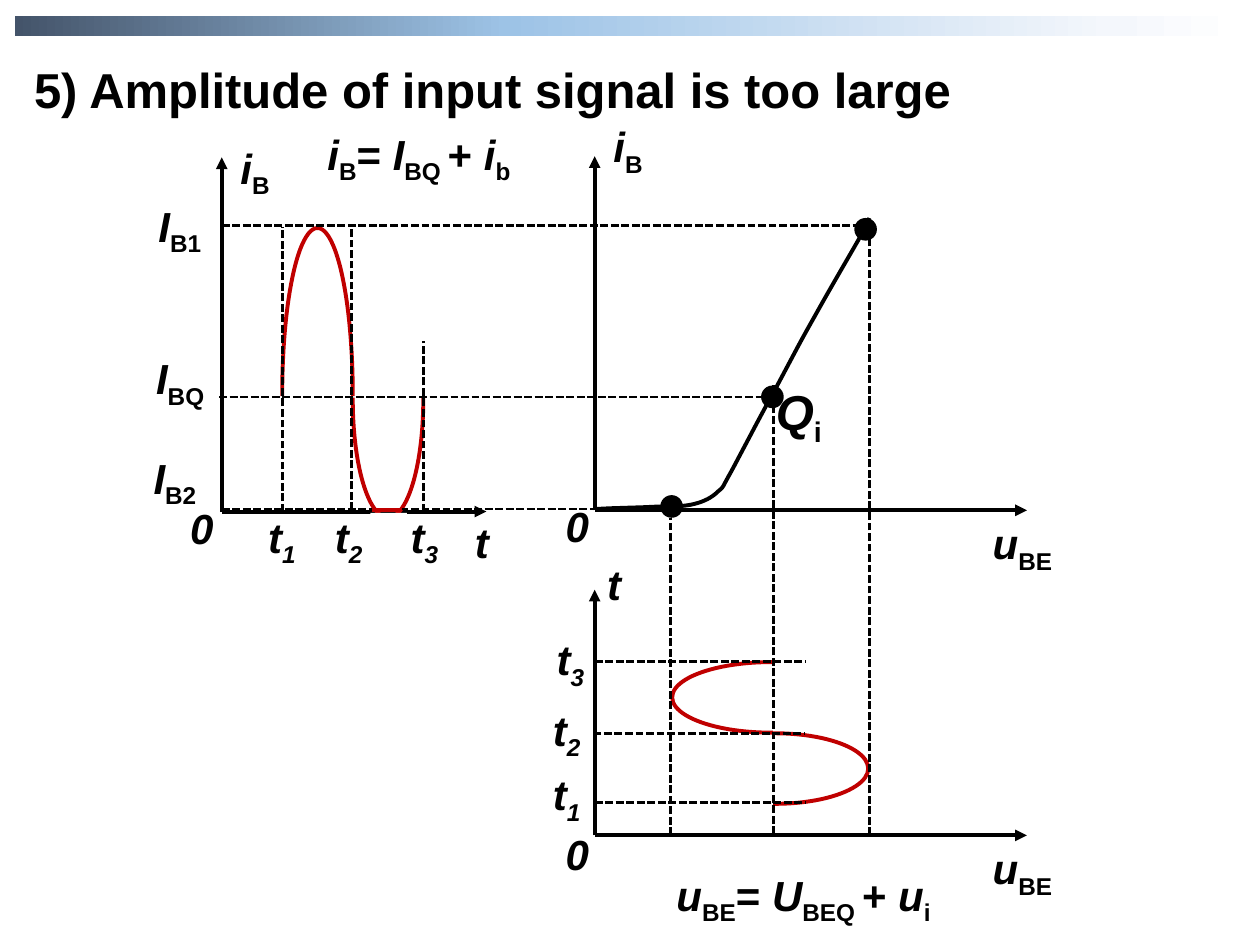
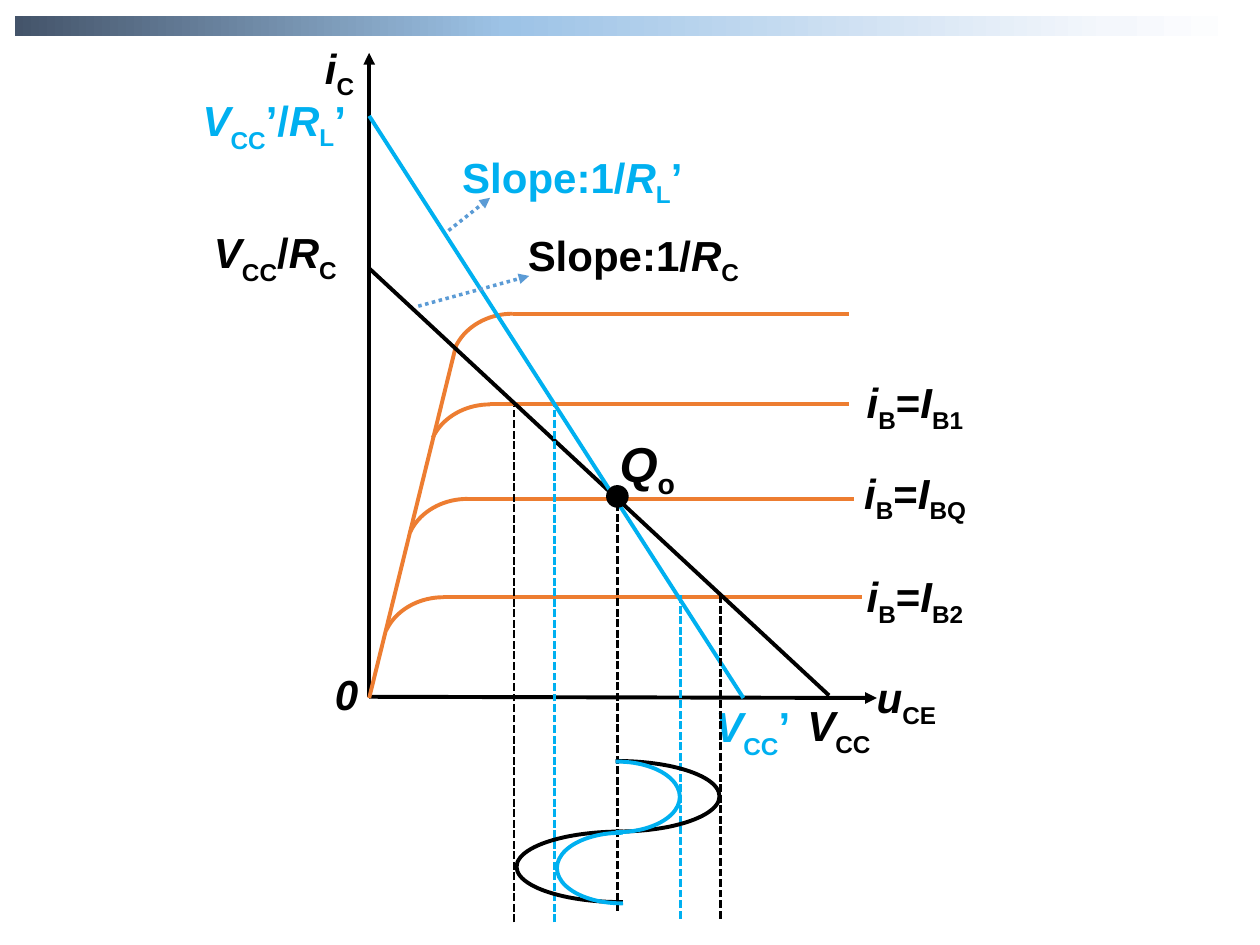
"""Build two slides of transistor amplifier graphs: input side and output side."""
from lxml import etree
from pptx import Presentation
from pptx.dml.color import RGBColor
from pptx.enum.dml import MSO_LINE
from pptx.enum.shapes import MSO_CONNECTOR, MSO_SHAPE
from pptx.enum.text import MSO_ANCHOR, MSO_AUTO_SIZE, PP_ALIGN
from pptx.oxml.ns import qn
from pptx.util import Inches, Pt

BLACK = RGBColor(0x00, 0x00, 0x00)
WHITE = RGBColor(0xFF, 0xFF, 0xFF)
RED = RGBColor(0xC0, 0x00, 0x00)
CYAN = RGBColor(0x00, 0xB0, 0xF0)
ORANGE = RGBColor(0xED, 0x7D, 0x31)
BLUE = RGBColor(0x5B, 0x9B, 0xD5)
DASH, DOTS = MSO_LINE.SQUARE_DOT, MSO_LINE.ROUND_DOT
LINE, ARC = MSO_CONNECTOR.STRAIGHT, MSO_SHAPE.ARC
OVAL, RECT = MSO_SHAPE.OVAL, MSO_SHAPE.RECTANGLE
FIT, TOP, LEFT = MSO_AUTO_SIZE.SHAPE_TO_FIT_TEXT, MSO_ANCHOR.TOP, PP_ALIGN.LEFT

FONT = "Arial"
BAND = (0.12, 0.13, 9.76, 0.16)
STOPS = [(0, "44546A"), (40, "9DC3E6"), (89, "F4F7FC"), (100, "FFFFFF")]
HALF, KNEE = (106.3, 1.73), (162, 204.75)
DOT = 0.18

ITAL, SUB, LOW, TINY, FLAT = (True, 0), (False, -25), (False, -30), (True, -25), (False, 0)


def sym(name, sub="", style=SUB):
    """Return the runs of a symbol with its subscript."""
    return [(name, ITAL)] + ([(sub, style)] if sub else [])


def flat(text):
    """Return one upright run."""
    return [(text, FLAT)]


TITLE = "5) Amplitude of input signal is too large"
IN_AXES = [
    (4.72, 4.05, 4.72, 1.24), (4.72, 4.05, 8.15, 4.05),
    (4.72, 6.63, 4.72, 4.68), (4.72, 6.63, 8.15, 6.63),
    (1.76, 4.06, 1.76, 1.25), (1.76, 4.06, 3.86, 4.06),
]
IN_ROWS = [
    (1.76, 6.85, 1.79), (1.74, 6.1, 3.15), (1.76, 6.41, 4.04),
    (4.72, 6.39, 6.37), (4.71, 6.38, 5.82), (4.72, 6.39, 5.25),
]
IN_COLS = [
    (6.14, 6.62, 3.05), (6.9, 6.63, 1.8), (5.32, 6.63, 4.11),
    (2.24, 4.06, 1.8), (2.79, 4.05, 1.8), (3.36, 4.06, 2.71),
]
IN_WAVES = [
    ((5.87, 5.36, 0.56, 1.48), 90, ""), ((5.84, 4.75, 0.56, 1.57), 270, "flipH"),
    ((2.24, 1.81, 0.56, 2.64), 0, ""), ((2.8, 2.23, 0.56, 1.88), 0, "flipV"),
]
CLIP = (2.95, 4.05, 3.19, 4.05)
MASK = (2.94, 4.07, 0.29, 0.47)
IN_DOTS = [(6.04, 3.06), (6.78, 1.73), (5.24, 3.93)]
START = (4.73, 4.04)
BENDS = [
    ((4.9, 4.03), (5.06, 4.03), (5.23, 4.02)),
    ((5.36, 4.02), (5.43, 4.02), (5.51, 4)),
    ((5.59, 3.98), (5.65, 3.95), (5.7, 3.9)),
    ((5.75, 3.86), (5.73, 3.87), (5.8, 3.75)),
    ((5.87, 3.62), (6.01, 3.35), (6.12, 3.15)),
    ((6.23, 2.95), (6.33, 2.75), (6.45, 2.54)),
    ((6.56, 2.34), (6.73, 2.05), (6.81, 1.91)),
    ((6.88, 1.78), (6.89, 1.76), (6.9, 1.73)),
]
IN_TEXT = [
    (5.27, 6.85, 2.61, sym("u", "BE") + flat("= ") + sym("U", "BEQ ")
     + flat("+ ") + sym("u", "i")),
    (2.5, 0.97, 2, sym("i", "B") + flat("=") + sym(" I", "BQ ")
     + flat("+ ") + sym("i", "b")),
    (4.77, 0.91, 0.55, sym("i", "B")),
    (1.81, 1.08, 0.55, sym("i", "B")),
    (7.78, 4.06, 0.83, sym("u", "BE")),
    (7.78, 6.64, 0.83, sym("u", "BE")),
    (4.72, 4.38, 0.55, sym("t")),
    (3.67, 4.05, 0.47, sym("t")),
    (4.39, 6.53, 0.55, sym("0")),
    (4.39, 3.92, 0.55, sym("0")),
    (1.41, 3.94, 0.55, sym("0")),
    (4.29, 6.05, 0.55, sym("t", "1", TINY)),
    (4.29, 5.54, 0.55, sym("t", "2", TINY)),
    (4.32, 4.98, 0.55, sym("t", "3", TINY)),
    (2.03, 4.01, 0.55, sym("t", "1", TINY)),
    (2.56, 4.01, 0.55, sym("t", "2", TINY)),
    (3.16, 4.01, 0.55, sym("t", "3", TINY)),
    (1.16, 1.54, 0.6, sym("I", "B1")),
    (1.14, 2.75, 0.75, sym("I", "BQ")),
    (1.12, 3.54, 1.29, sym("I", "B2")),
]
IN_POINT = (6.06, 2.98, 0.67, sym("Q", "i"))

OUT_AXES = [(2.93, 5.53, 2.93, 0.42), (2.93, 5.53, 6.96, 5.54)]
RISE = (2.93, 5.54, 3.62, 2.74)
CURVES = [(3.58, 2.49, 6.74), (3.4, 3.21, 6.74), (3.22, 3.96, 6.78), (3.03, 4.74, 6.84)]
LOADS = [((2.93, 2.13, 6.58, 5.52), BLACK), ((2.93, 0.92, 5.9, 5.54), CYAN)]
HINTS = [(3.56, 1.83, 3.89, 1.57), (3.32, 2.43, 4.2, 2.19)]
OUT_COLS = [
    (4.08, 7.32, 3.22, BLACK), (5.72, 7.29, 4.72, BLACK), (4.9, 7.23, 3.96, BLACK),
    (4.4, 7.32, 3.22, CYAN), (5.4, 7.29, 4.72, CYAN),
]
OUT_WAVES = [
    ((4.65, 6.05, 0.56, 1.66), 270, "flipH", BLACK), ((4.62, 5.51, 0.56, 1.62), 90, "", BLACK),
    ((4.65, 6.38, 0.56, 1.02), 270, "flipH", CYAN), ((4.62, 5.83, 0.56, 0.99), 90, "", CYAN),
]
OUT_TEXT = [
    (2.48, 0.29, 0.55, sym("i", "C"), BLACK),
    (6.86, 5.28, 0.83, sym("u", "CE"), BLACK),
    (2.56, 5.26, 0.55, sym("0"), BLACK),
    (6.31, 5.5, 0.84, sym("V", "CC", LOW), BLACK),
    (1.6, 1.75, 1.43, sym("V", "CC", LOW) + flat("/") + sym("R", "C"), BLACK),
    (5.58, 5.51, 0.94, sym("V", "CC", LOW) + flat("’"), CYAN),
    (1.51, 0.7, 1.43, sym("V", "CC", LOW) + flat("’/") + sym("R", "L") + flat("’"), CYAN),
    (3.57, 1.15, 2.05, flat("Slope:1/") + sym("R", "L") + flat("’"), CYAN),
    (4.09, 1.77, 2.05, flat("Slope:1/") + sym("R", "C"), BLACK),
] + [(x, y, 1.19, sym("i", "B") + flat("=") + sym("I", sub), BLACK)
     for x, y, sub in [(6.78, 2.94, "B1"), (6.76, 3.66, "BQ"), (6.78, 4.48, "B2")]]
OUT_POINT = (4.82, 3.39, 0.67, sym("Q", "o"))
OUT_DOT = (4.81, 3.85)


def place(box):
    """Turn inches into lengths."""
    return [Inches(v) for v in box]


def write(frame, runs, color=BLACK, size=24):
    """Fill a text frame run by run."""
    frame.word_wrap = True
    frame.auto_size = FIT
    for text, (ital, base) in runs:
        run = frame.paragraphs[0].add_run()
        run.text = text
        font = run.font
        font.name, font.size = FONT, Pt(size)
        font.bold, font.italic = True, ital
        font.color.rgb = color
        if base:
            font._element.set("baseline", str(base * 1000))


def label(slide, x, y, wide, runs, color=BLACK, size=24):
    """Add a text label."""
    tall = 0.67 if size > 24 else 0.59 if len(runs) > 1 else 0.5
    write(slide.shapes.add_textbox(*place((x, y, wide, tall))).text_frame, runs, color, size)


def line(slide, ends, color=BLACK, width=2.25, dash=None, arrow=False):
    """Add a straight line, with an arrowhead if asked."""
    link = slide.shapes.add_connector(LINE, *place(ends))
    link.line.color.rgb = color
    link.line.width = Pt(width)
    if dash:
        link.line.dash_style = dash
    props = link._element.spPr
    if arrow:
        etree.SubElement(props.find(qn("a:ln")), qn("a:tailEnd"), type="triangle")
    etree.SubElement(props, qn("a:effectLst"))


def guide(slide, ends, color=BLACK):
    """Add a dashed guide."""
    line(slide, ends, color, 1.5, DASH)


def solid(slide, kind, box, color):
    """Add a filled shape with no outline."""
    shape = slide.shapes.add_shape(kind, *place(box))
    shape.shadow.inherit = False
    shape.fill.solid()
    shape.fill.fore_color.rgb = color
    shape.line.fill.background()
    return shape


def stroke(shape, color):
    """Leave only the outline of a shape."""
    shape.shadow.inherit = False
    shape.fill.background()
    shape.line.color.rgb = color
    shape.line.width = Pt(2.25)


def arc(slide, box, turn, flip, color, span=HALF):
    """Add an arc."""
    shape = slide.shapes.add_shape(ARC, *place(box))
    shape.adjustments[0], shape.adjustments[1] = span
    shape.rotation = turn
    if flip:
        shape._element.spPr.xfrm.set(flip, "1")
    stroke(shape, color)


def band(slide):
    """Add the gradient band at the top."""
    shape = solid(slide, RECT, BAND, WHITE)
    shape.fill.gradient()
    shape.fill.gradient_angle = 0
    stops = shape._element.spPr.find(qn("a:gradFill")).find(qn("a:gsLst"))
    for old in list(stops):
        stops.remove(old)
    for pos, tint in STOPS:
        stop = etree.SubElement(stops, qn("a:gs"), pos=str(pos * 1000))
        etree.SubElement(stop, qn("a:srgbClr"), val=tint)


def bend(slide):
    """Draw the input curve through its cubic bends."""
    points, last = [], START
    for one, two, end in BENDS:
        for step in range(1, 9):
            t = step / 8
            points.append([Inches((1 - t) ** 3 * a + 3 * t * (1 - t) ** 2 * b
                                  + 3 * t * t * (1 - t) * c + t ** 3 * d)
                           for a, b, c, d in zip(last, one, two, end)])
        last = end
    pen = slide.shapes.build_freeform(*place(START))
    pen.add_line_segments(points, close=False)
    stroke(pen.convert_to_shape(), BLACK)


def input_side(deck):
    """Build the input slide."""
    slide = deck.slides.add_slide(deck.slide_layouts[5])
    band(slide)
    title = slide.shapes.title
    title.left, title.top, title.width, title.height = place((0.17, 0.42, 7.71, 0.57))
    write(title.text_frame, flat(TITLE), size=28)
    title.text_frame.vertical_anchor = TOP
    title.text_frame.paragraphs[0].alignment = LEFT
    for ends in IN_AXES:
        line(slide, ends, arrow=True)
    for box, turn, flip in IN_WAVES:
        arc(slide, box, turn, flip, RED)
    for x, end, y in IN_ROWS:
        guide(slide, (x, y, end, y))
    for x, low, high in IN_COLS:
        guide(slide, (x, low, x, high))
    for item in IN_TEXT:
        label(slide, *item)
    label(slide, *IN_POINT, size=28)
    bend(slide)
    line(slide, CLIP, RED)
    solid(slide, RECT, MASK, WHITE)
    for x, y in IN_DOTS:
        solid(slide, OVAL, (x, y, DOT, DOT), BLACK)


def output_side(deck):
    """Build the output slide."""
    slide = deck.slides.add_slide(deck.slide_layouts[6])
    band(slide)
    for ends in OUT_AXES:
        line(slide, ends, arrow=True)
    line(slide, RISE, ORANGE)
    for x, y, end in CURVES:
        arc(slide, (x, y, 0.98, 0.84), 0, "flipH", ORANGE, KNEE)
        line(slide, (x + 0.49, y, end, y), ORANGE)
    for ends, color in LOADS:
        line(slide, ends, color)
    solid(slide, OVAL, (*OUT_DOT, DOT, DOT), BLACK)
    for item in OUT_TEXT:
        label(slide, *item)
    label(slide, *OUT_POINT, size=28)
    for ends in HINTS:
        line(slide, ends, BLUE, 2, DOTS, True)
    for x, low, high, color in OUT_COLS:
        guide(slide, (x, low, x, high), color)
    for wave in OUT_WAVES:
        arc(slide, *wave)


def main():
    """Build and save the deck."""
    deck = Presentation()
    deck.slide_width, deck.slide_height = Inches(10), Inches(7.5)
    input_side(deck)
    output_side(deck)
    deck.save("out.pptx")


if __name__ == "__main__":
    main()
